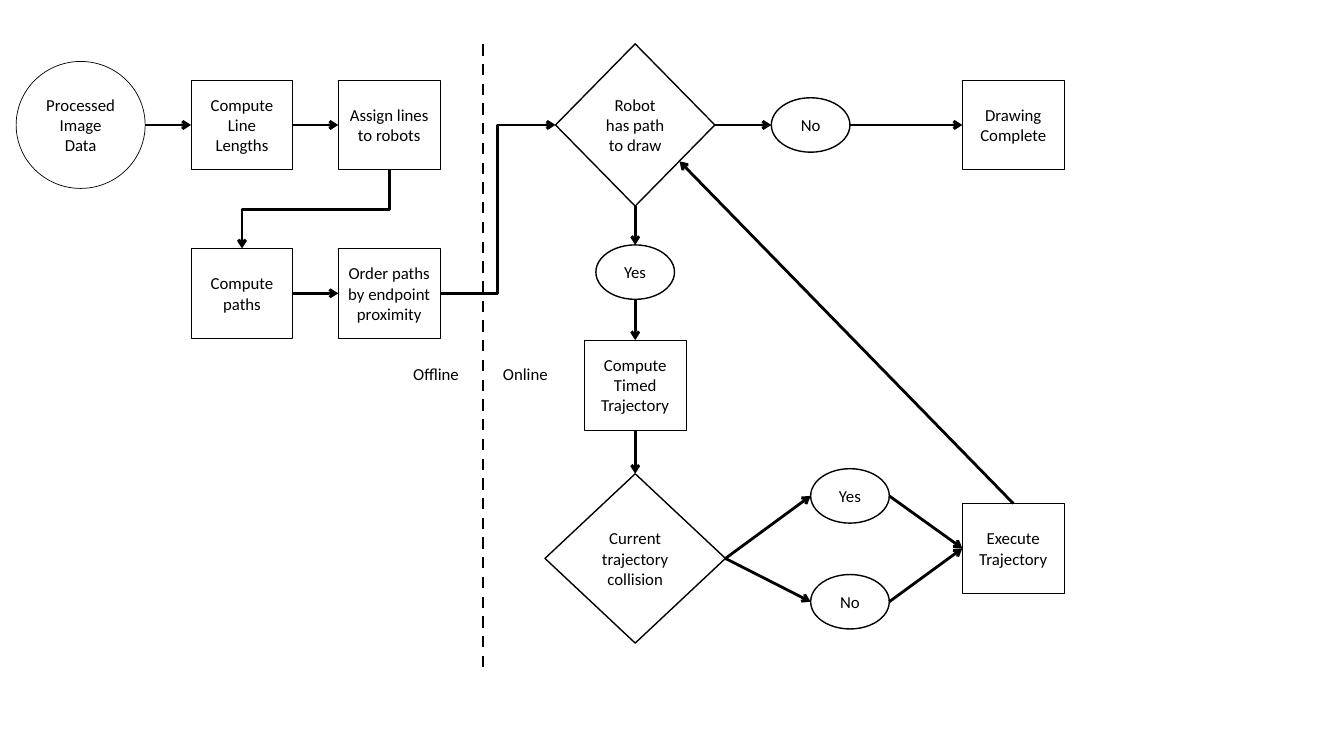
from pptx import Presentation
from pptx.dml.color import RGBColor
from pptx.enum.dml import MSO_LINE
from pptx.enum.shapes import MSO_CONNECTOR, MSO_SHAPE
from pptx.enum.text import MSO_ANCHOR, PP_ALIGN
from pptx.oxml.ns import qn
from pptx.util import Inches, Pt
from lxml import etree

RECT, OVAL, DIAMOND = MSO_SHAPE.RECTANGLE, MSO_SHAPE.OVAL, MSO_SHAPE.DIAMOND
STRAIGHT, ELBOW = MSO_CONNECTOR.STRAIGHT, MSO_CONNECTOR.ELBOW
DASH = MSO_LINE.DASH
CENTER, LEFT = PP_ALIGN.CENTER, PP_ALIGN.LEFT
MIDDLE, TOP = MSO_ANCHOR.MIDDLE, MSO_ANCHOR.TOP

COLORS = {"ink": "000000"}
QUARTER_TURN = "5400000"

# Kind of node: preset shape, width, height, outline weight
STEP = (RECT, 1.01, 0.89, 0.5)
SOURCE = (OVAL, 1.28, 1.26, 0.5)
ANSWER = (OVAL, 0.78, 0.54, 1)
PATH_CHECK = (DIAMOND, 1.58, 1.61, 1)
COLLISION_CHECK = (DIAMOND, 1.79, 1.68, 1)

# Nodes: name, kind, centre x, centre y, text
NODES = [
    ("image", SOURCE, 0.8, 1.24, "Processed Image Data"),
    ("lengths", STEP, 2.4, 1.24, "Compute Line Lengths"),
    ("assign", STEP, 3.86, 1.24, "Assign lines to robots"),
    ("paths", STEP, 2.4, 2.91, "Compute paths"),
    ("order", STEP, 3.86, 2.91, "Order paths by endpoint proximity"),
    ("has path", PATH_CHECK, 6.3, 1.24, "Robot has path to draw"),
    ("path yes", ANSWER, 6.3, 2.7, "Yes"),
    ("path no", ANSWER, 8.04, 1.24, "No"),
    ("complete", STEP, 10.05, 1.24, "Drawing Complete"),
    ("timed", STEP, 6.3, 3.82, "Compute Timed Trajectory"),
    ("collision", COLLISION_CHECK, 6.3, 5.54, "Current trajectory collision"),
    ("hit yes", ANSWER, 8.43, 4.92, "Yes"),
    ("hit no", ANSWER, 8.43, 5.97, "No"),
    ("execute", STEP, 10.05, 5.44, "Execute Trajectory"),
]

# Arrows leaving on the right and arriving on the left
RIGHTWARD = [
    ("image", "lengths"), ("lengths", "assign"), ("paths", "order"),
    ("has path", "path no"), ("path no", "complete"),
    ("collision", "hit yes"), ("collision", "hit no"),
    ("hit yes", "execute"), ("hit no", "execute"),
]
# Arrows leaving at the bottom and arriving at the top
DOWNWARD = [("has path", "path yes"), ("path yes", "timed"), ("timed", "collision")]


class FlowChart:
    """Style and current slide of the flow chart."""

    font = {"name": "Calibri", "size": Pt(12)}

    def __init__(self, deck):
        self.page = deck.slides.add_slide(deck.slide_layouts[6])
        self.boxes = {}

    def color(self, name):
        return RGBColor.from_string(COLORS[name])

    def set_text(self, box, text, align, frame_format):
        frame = box.text_frame
        for key, value in frame_format.items():
            setattr(frame, key, value)
        para = frame.paragraphs[0]
        para.alignment = align
        span = para.add_run()
        span.text = text
        for key, value in self.font.items():
            setattr(span.font, key, value)
        span.font.color.rgb = self.color("ink")

    def node(self, name, kind, x, y, text):
        preset, width, height, weight = kind
        box = self.page.shapes.add_shape(
            preset, Inches(x - width / 2), Inches(y - height / 2),
            Inches(width), Inches(height))
        box.shadow.inherit = False
        box.fill.background()
        box.line.color.rgb = self.color("ink")
        box.line.width = Pt(weight)
        self.set_text(box, text, CENTER, {
            "word_wrap": True, "vertical_anchor": MIDDLE,
            "margin_left": Inches(0.09), "margin_right": Inches(0.09)})
        self.boxes[name] = (x, y, width, height)

    def label(self, text, x, y, width, height):
        box = self.page.shapes.add_textbox(
            Inches(x), Inches(y), Inches(width), Inches(height))
        self.set_text(box, text, LEFT, {"word_wrap": False, "vertical_anchor": TOP})

    def side(self, name, across, down):
        """Point on the edge of a node; across and down are -1, 0 or 1."""
        x, y, width, height = self.boxes[name]
        return x + across * width / 2, y + down * height / 2

    def line(self, start, end, kind=STRAIGHT, arrow=True, dash=None):
        link = self.page.shapes.add_connector(
            kind, *(Inches(value) for value in (*start, *end)))
        link.line.color.rgb = self.color("ink")
        link.line.width = Pt(2)
        if dash:
            link.line.dash_style = dash
        properties = link._element.spPr
        if arrow:
            outline = properties.find(qn("a:ln"))
            etree.SubElement(outline, qn("a:tailEnd"), type="arrow")
        etree.SubElement(properties, qn("a:effectLst"))
        return link

    def drop_elbow(self, start, end):
        """Elbow that runs down, left and down: a quarter-turned connector."""
        middle_x, middle_y = (start[0] + end[0]) / 2, (start[1] + end[1]) / 2
        half_width, half_height = (end[1] - start[1]) / 2, (start[0] - end[0]) / 2
        link = self.line((middle_x - half_width, middle_y - half_height),
                         (middle_x + half_width, middle_y + half_height), ELBOW)
        link._element.spPr.find(qn("a:xfrm")).set("rot", QUARTER_TURN)


def main():
    deck = Presentation()
    deck.slide_width, deck.slide_height = Inches(13.33), Inches(7.5)
    chart = FlowChart(deck)

    # Steps, decisions and answers
    for node in NODES:
        chart.node(*node)

    # Straight arrows
    for source, target in RIGHTWARD:
        chart.line(chart.side(source, 1, 0), chart.side(target, -1, 0))
    for source, target in DOWNWARD:
        chart.line(chart.side(source, 0, 1), chart.side(target, 0, -1))
    chart.line(chart.side("execute", 0, -1), (6.74, 1.6))

    # Bent arrows
    chart.drop_elbow(chart.side("assign", 0, 1), chart.side("paths", 0, -1))
    chart.line(chart.side("order", 1, 0), chart.side("has path", -1, 0), ELBOW)

    # Border between offline and online work
    chart.line((4.79, 0.44), (4.79, 6.69), arrow=False, dash=DASH)
    chart.label("Offline", 4, 3.56, 0.66, 0.3)
    chart.label("Online", 4.89, 3.56, 0.65, 0.3)

    deck.save("out.pptx")


if __name__ == "__main__":
    main()
